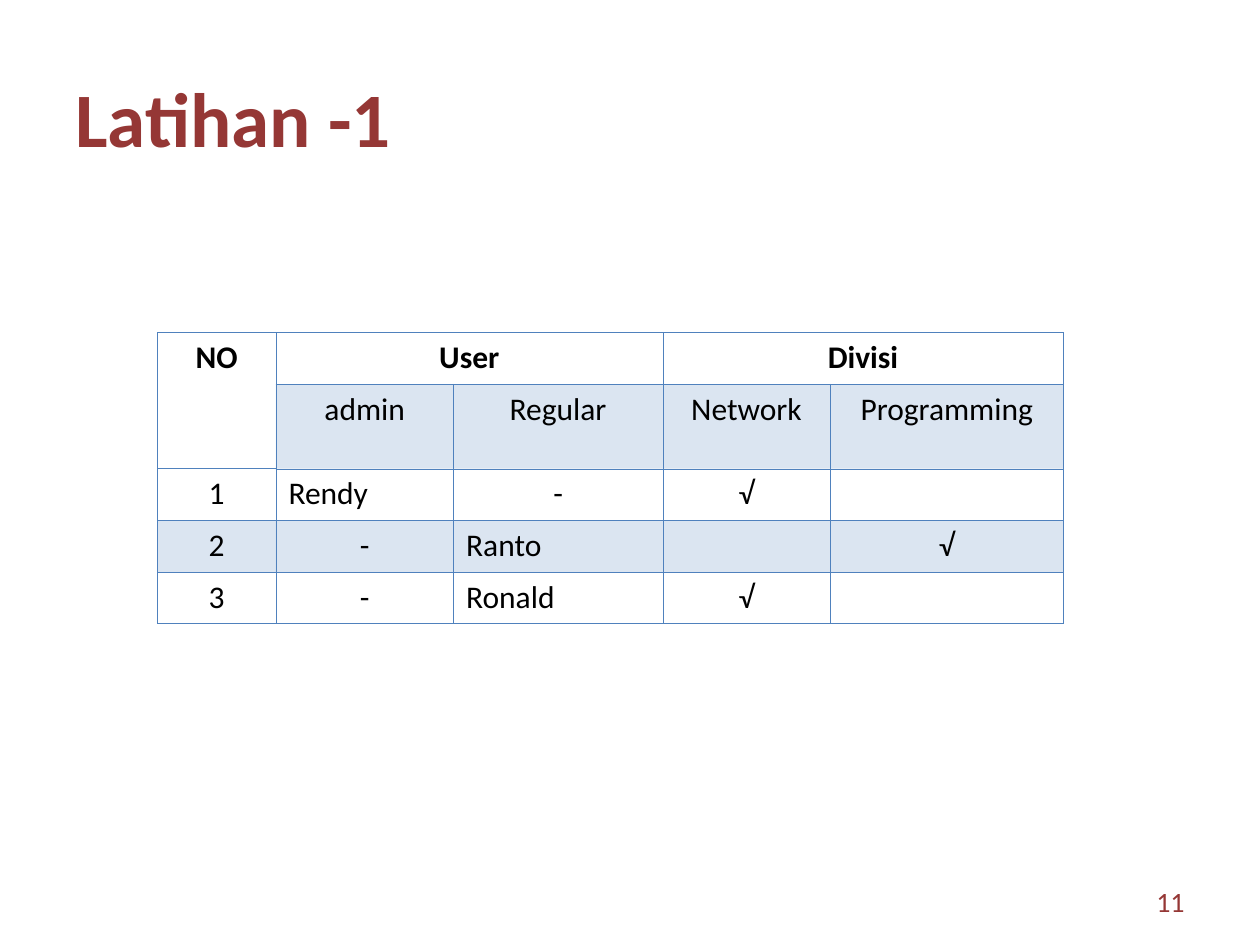
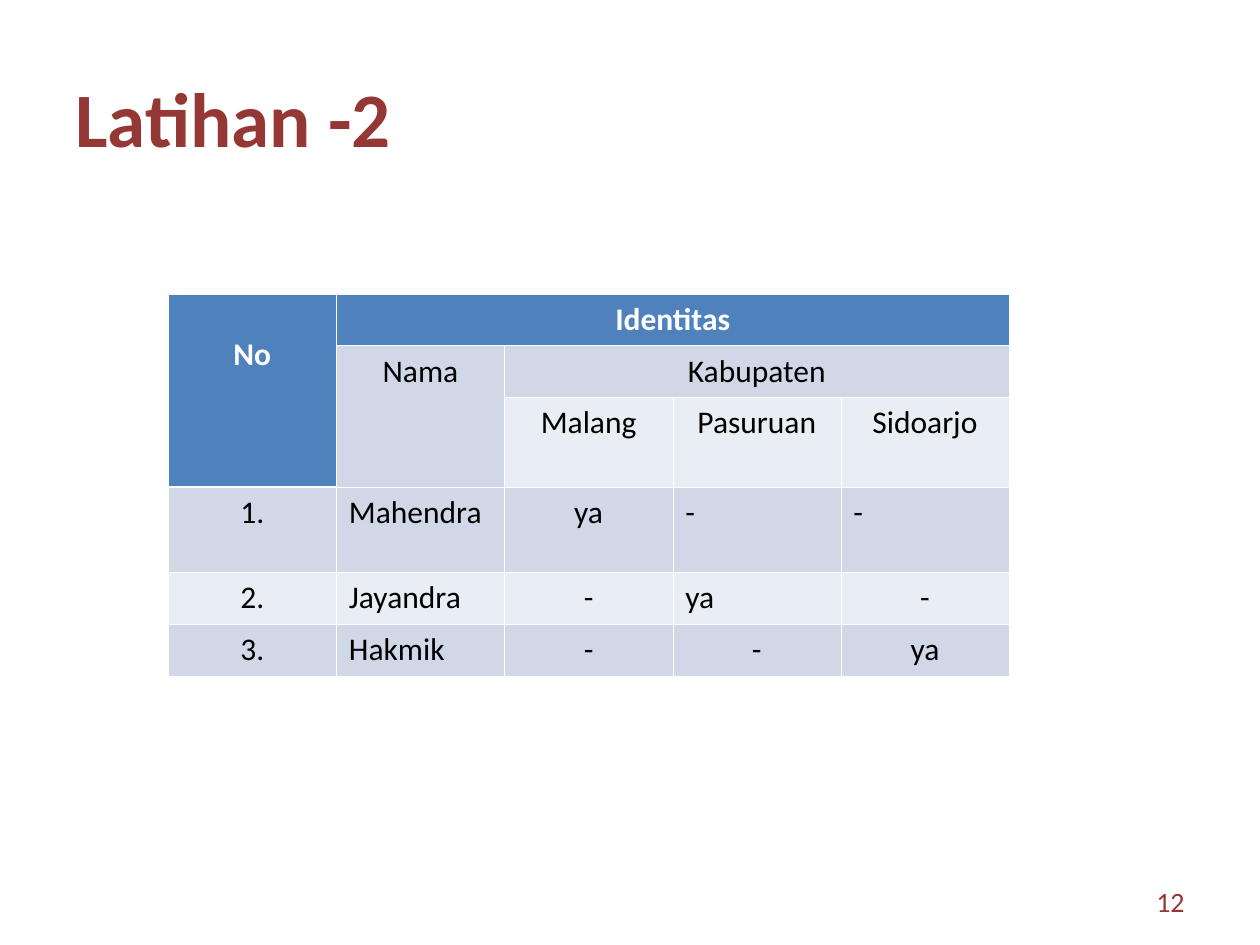
import pptx
import pptx.dml.color
import pptx.enum.text
import pptx.oxml
import pptx.oxml.ns
import pptx.util

RGBColor = pptx.dml.color.RGBColor
PP_ALIGN = pptx.enum.text.PP_ALIGN

MAROON = RGBColor(0x95, 0x37, 0x35)
BLUE = RGBColor(0x4F, 0x81, 0xBD)
BAND = RGBColor(0xD0, 0xD8, 0xE8)
PALE = RGBColor(0xE9, 0xED, 0xF4)
WHITE = RGBColor(0xFF, 0xFF, 0xFF)
BLACK = RGBColor(0x00, 0x00, 0x00)

FONT = "Calibri"
GRID_COLUMNS, GRID_ROWS = 20, 15
THIN = 0.23


class Deck:
    def __init__(self):
        self.presentation = pptx.Presentation()
        self.presentation.slide_width = pptx.util.Inches(10)
        self.presentation.slide_height = pptx.util.Inches(7.5)
        self.slide = None

    def across(self, columns):
        return round(self.presentation.slide_width * columns / GRID_COLUMNS)

    def down(self, rows):
        return round(self.presentation.slide_height * rows / GRID_ROWS)

    def add_slide(self, title, number):
        self.slide = self.presentation.slides.add_slide(self.presentation.slide_layouts[6])
        self.add_text(title, (1, 0.6, 18, 2.5), 44, bold=True)
        self.add_text(str(number), (14.34, 13.9, 4.66, 0.8), 16, align=PP_ALIGN.RIGHT)

    def add_text(self, text, place, size, bold=False, align=PP_ALIGN.LEFT):
        left, top, width, height = place
        box = self.slide.shapes.add_textbox(
            self.across(left), self.down(top), self.across(width), self.down(height))
        box.text_frame.word_wrap = True
        box.text_frame.vertical_anchor = pptx.enum.text.MSO_ANCHOR.MIDDLE
        self.set_text(box.text_frame, text, size, MAROON, bold, align)

    def set_text(self, text_frame, text, size, color, bold, align):
        text_frame.text = text
        paragraph = text_frame.paragraphs[0]
        paragraph.alignment = align
        for run in paragraph.runs:
            run.font.name = FONT
            run.font.size = pptx.util.Pt(size)
            run.font.bold = bold
            run.font.color.rgb = color

    def add_table(self, corner, widths, heights, texts, spans, left_cells,
                  fills, heading_color, border_color, heavy, fill_alpha=100):
        """Draw a table whose first cell spans all heading rows."""
        left, top = corner
        frame = self.slide.shapes.add_table(
            len(heights), len(widths), self.across(left), self.down(top),
            self.across(sum(widths)), self.down(sum(heights)))
        table = frame.table
        table.first_row = table.horz_banding = False
        for column, width in zip(table.columns, widths):
            column.width = self.across(width)
        for row, height in zip(table.rows, heights):
            row.height = self.down(height)
        for (row, column), (last_row, last_column) in spans.items():
            table.cell(row, column).merge(table.cell(last_row, last_column))
        heading_rows = table.cell(0, 0).span_height

        for row, row_texts in enumerate(texts):
            for column, text in enumerate(row_texts):
                cell = table.cell(row, column)
                if not cell.is_spanned:
                    heading = row == 0
                    align = PP_ALIGN.LEFT if (row, column) in left_cells else PP_ALIGN.CENTER
                    self.set_text(cell.text_frame, text, 18,
                                  heading_color if heading else BLACK, heading, align)
                    cell.text_frame.paragraphs[0].line_spacing = 0.98
                    self.fill_cell(cell, fills[row], fill_alpha)
                heavy_sides = self.heading_edges(row, column, heading_rows)
                self.add_borders(cell, border_color, heavy_sides, heavy)
        return table

    def heading_edges(self, row, column, heading_rows):
        """Name the sides of a cell that lie on the edge of the headings."""
        if column == 0:
            edges = {"L": False, "R": row < heading_rows, "T": row == heading_rows,
                     "B": row in (0, heading_rows - 1)}
        else:
            edges = {"L": column == 1 and row < heading_rows, "R": False,
                     "T": row == 1, "B": row == 0}
        return [side for side, on_edge in edges.items() if on_edge]

    def fill_cell(self, cell, color, alpha):
        if color is None:
            cell.fill.background()
            return
        cell.fill.solid()
        cell.fill.fore_color.rgb = color
        if alpha < 100:
            color_element = cell._tc.tcPr.find(".//" + pptx.oxml.ns.qn("a:srgbClr"))
            color_element.append(pptx.oxml.parse_xml(
                f'<a:alpha {pptx.oxml.ns.nsdecls("a")} val="{alpha * 1000}"/>'))

    def add_borders(self, cell, color, heavy_sides, heavy):
        properties = cell._tc.get_or_add_tcPr()
        for index, side in enumerate("LRTB"):
            width = pptx.util.Pt(heavy if side in heavy_sides else THIN)
            properties.insert(index, pptx.oxml.parse_xml(
                f'<a:ln{side} {pptx.oxml.ns.nsdecls("a")} w="{width}"><a:solidFill>'
                f'<a:srgbClr val="{color}"/></a:solidFill></a:ln{side}>'))


def add_user_exercise(deck):
    deck.add_slide("Latihan -1", 11)
    deck.add_table(
        corner=(2.5, 5.28),
        widths=[1.88, 2.82, 3.32, 2.66, 3.7],
        heights=[0.82, 1.34, 0.82, 0.82, 0.82],
        texts=[
            ["NO", "User", "", "Divisi", ""],
            ["", "admin", "Regular", "Network", "Programming"],
            ["1", "Rendy", "-", "√", ""],
            ["2", "-", "Ranto", "", "√"],
            ["3", "-", "Ronald", "√", ""],
        ],
        spans={(0, 0): (1, 0), (0, 1): (0, 2), (0, 3): (0, 4)},
        left_cells={(2, 1), (3, 2), (4, 2)},
        fills=[None, BLUE, None, BLUE, None],
        heading_color=BLACK, border_color=BLUE, heavy=0.45, fill_alpha=20)


def add_identity_exercise(deck):
    deck.add_slide("Latihan -2", 12)
    table = deck.add_table(
        corner=(2.67, 4.67),
        widths=[2.67] * 5,
        heights=[0.82, 0.82, 1.42, 1.36, 0.82, 0.82],
        texts=[
            ["No", "Identitas", "", "", ""],
            ["", "Nama", "Kabupaten", "", ""],
            ["", "", "Malang", "Pasuruan", "Sidoarjo"],
            ["1.", "Mahendra", "ya", "-", "-"],
            ["2.", "Jayandra", "-", "ya", "-"],
            ["3.", "Hakmik", "-", "-", "ya"],
        ],
        spans={(0, 0): (2, 0), (0, 1): (0, 4), (1, 1): (2, 1), (1, 2): (1, 4)},
        left_cells={(3, 1), (4, 1), (5, 1), (3, 3), (3, 4), (4, 3)},
        fills=[BLUE, BAND, PALE, BAND, PALE, BAND],
        heading_color=WHITE, border_color=WHITE, heavy=0.75)
    table.cell(0, 0).margin_top = deck.down(0.66)


def main():
    deck = Deck()
    add_user_exercise(deck)
    add_identity_exercise(deck)
    deck.presentation.save("out.pptx")


if __name__ == "__main__":
    main()
